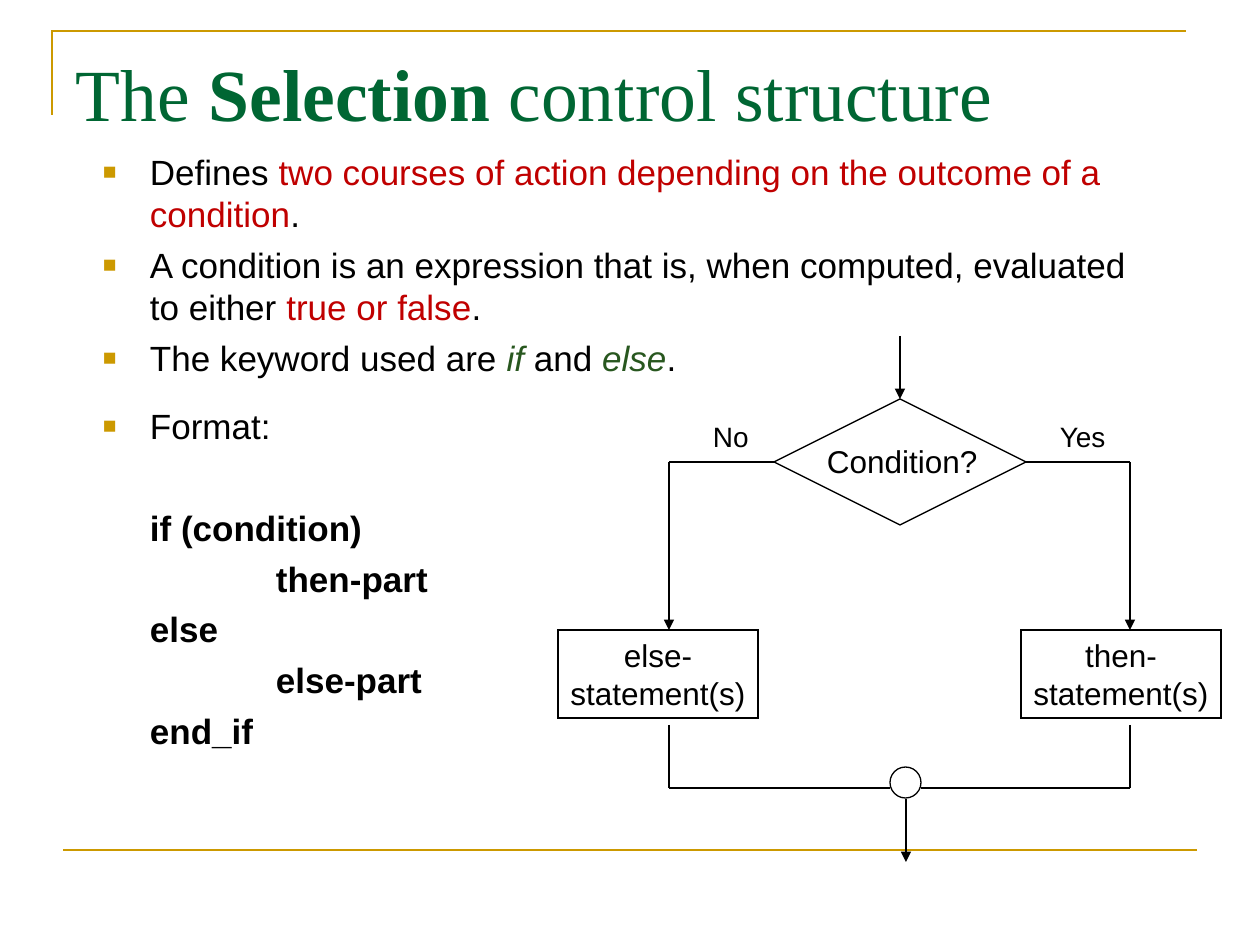
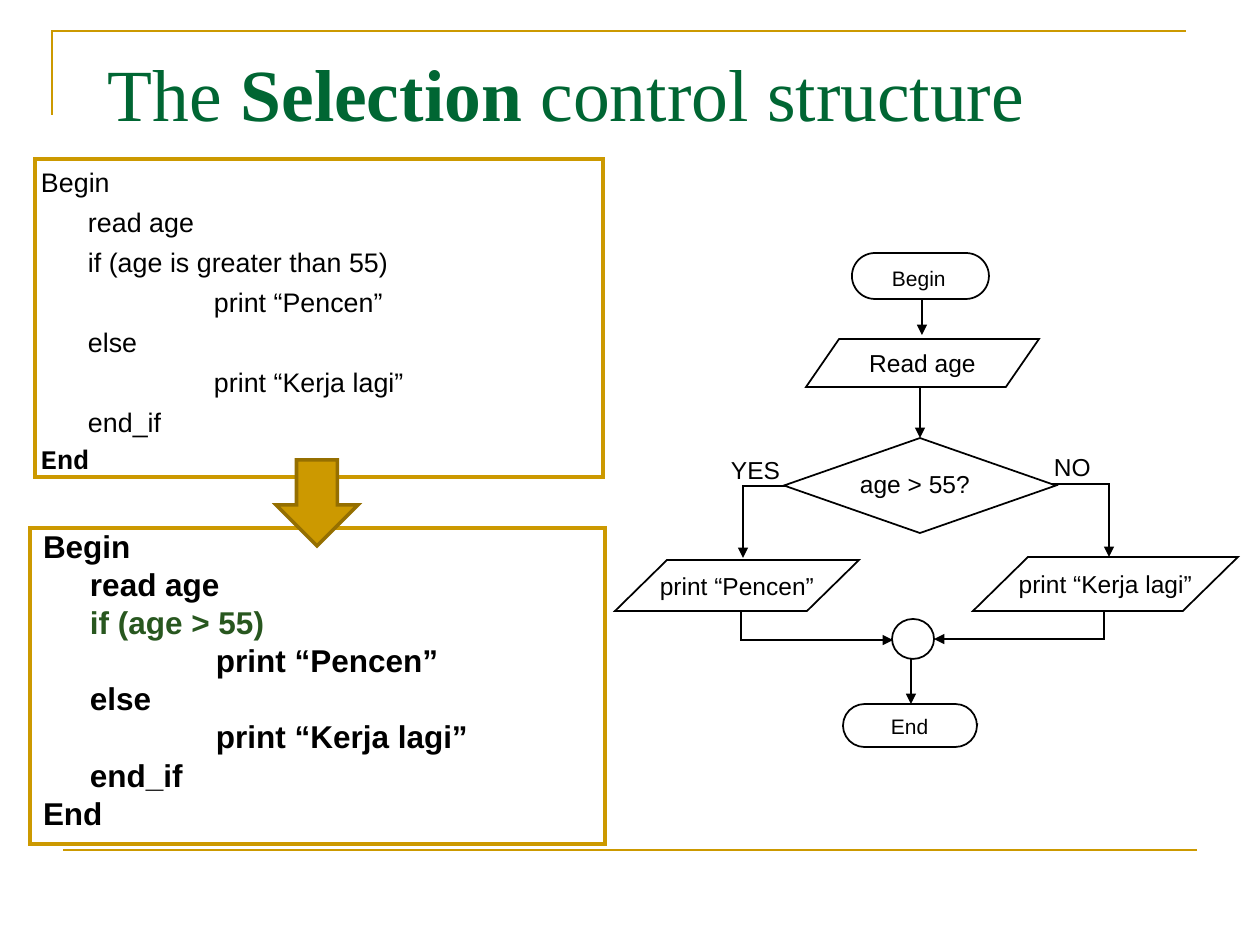
from dataclasses import dataclass
from typing import NamedTuple

from lxml.etree import SubElement
from pptx import Presentation
from pptx.dml.color import RGBColor
from pptx.enum.shapes import MSO_CONNECTOR, MSO_SHAPE
from pptx.enum.text import MSO_ANCHOR, PP_ALIGN
from pptx.oxml.ns import qn
from pptx.util import Emu, Pt

# Shared measures, colours and fonts
PIXELS_PER_INCH = 126
EMU_PER_PIXEL = 914400 / PIXELS_PER_INCH

GOLD = RGBColor(0xCC, 0x99, 0x00)
DARK_GOLD = RGBColor(0x95, 0x6F, 0x00)
TITLE_GREEN = RGBColor(0x00, 0x66, 0x33)
KEYWORD_GREEN = RGBColor(0x28, 0x57, 0x1F)
RED = RGBColor(0xC0, 0x00, 0x00)
BLACK = RGBColor(0, 0, 0)
WHITE = RGBColor(0xFF, 0xFF, 0xFF)

SANS = "Arial"
SERIF = "Times New Roman"
MONO = "Courier New"

INDENT = 47
CODE_INDENTS = (0, INDENT, INDENT + PIXELS_PER_INCH)


class Box(NamedTuple):
    left: int
    top: int
    width: int
    height: int


class Point(NamedTuple):
    x: int
    y: int


class Insets(NamedTuple):
    left: int = 13
    top: int = 6
    right: int = 13
    bottom: int = 6


# Labels keep no right inset, so that each stays on one line
LABEL_INSETS = Insets(right=0)
STEP_LABEL_INSETS = Insets(14, 7, 0, 7)


class Run(NamedTuple):
    text: str
    color: RGBColor = BLACK
    bold: bool = False
    italic: bool = False
    font: str = SANS


@dataclass(frozen=True)
class Line:
    runs: tuple[Run, ...]
    size: float
    indent: int = 0
    bullet: bool = False
    space_before: float = 0
    spacing: float | None = None
    alignment: PP_ALIGN = PP_ALIGN.LEFT


@dataclass(frozen=True)
class Node:
    kind: MSO_SHAPE
    box: Box
    lines: tuple[Line, ...] = ()
    fill: RGBColor | None = WHITE
    line: RGBColor = BLACK
    weight: float = 1
    adjustment: float | None = None
    insets: Insets = Insets()
    anchor: MSO_ANCHOR = MSO_ANCHOR.TOP
    wrap: bool = False


@dataclass(frozen=True)
class Route:
    points: tuple[Point, ...]
    arrow: bool = True


def px(length: float) -> Emu:
    return Emu(round(length * EMU_PER_PIXEL))


# Text
def add_bullet(paragraph) -> None:
    properties = paragraph._p.get_or_add_pPr()
    color = SubElement(properties, qn("a:buClr"))
    SubElement(color, qn("a:srgbClr"), val=str(GOLD))
    SubElement(properties, qn("a:buSzPct"), val="65000")
    SubElement(properties, qn("a:buFont"), typeface=SANS)
    SubElement(properties, qn("a:buChar"), char="■")


def write(shape, lines: tuple[Line, ...], insets: Insets = Insets(),
          anchor: MSO_ANCHOR = MSO_ANCHOR.TOP, wrap: bool = False) -> None:
    frame = shape.text_frame
    frame.word_wrap = wrap
    frame.vertical_anchor = anchor
    frame.margin_left, frame.margin_top, frame.margin_right, frame.margin_bottom = map(px, insets)
    for index, line in enumerate(lines):
        paragraph = frame.add_paragraph() if index else frame.paragraphs[0]
        paragraph.alignment = line.alignment
        paragraph.space_before = Pt(line.space_before)
        if line.spacing:
            paragraph.line_spacing = line.spacing
        properties = paragraph._p.get_or_add_pPr()
        properties.set("marL", str(px(line.indent)))
        properties.set("indent", str(px(-line.indent if line.bullet else 0)))
        if line.bullet:
            add_bullet(paragraph)
        for part in line.runs:
            run = paragraph.add_run()
            run.text = part.text
            run.font.name = part.font
            run.font.size = Pt(line.size)
            run.font.bold = part.bold
            run.font.italic = part.italic
            run.font.color.rgb = part.color


def add_text(slide, box: Box, lines: tuple[Line, ...], insets: Insets = Insets(),
             wrap: bool = False):
    shape = slide.shapes.add_textbox(*map(px, box))
    write(shape, lines, insets, wrap=wrap)
    return shape


def add_label(slide, box: Box, text: str, size: float, insets: Insets = LABEL_INSETS,
              fill: RGBColor | None = None) -> None:
    shape = add_text(slide, box, (Line((Run(text),), size),), insets)
    if fill is not None:
        shape.fill.solid()
        shape.fill.fore_color.rgb = fill


def code_lines(source: tuple[tuple[int, Run], ...], size: float,
               space_before: float, spacing: float | None = None) -> tuple[Line, ...]:
    return tuple(Line((run,), size, CODE_INDENTS[level], space_before=space_before, spacing=spacing)
                 for level, run in source)


# Shapes and lines
def style_line(shape, color: RGBColor, weight: float) -> None:
    shape.line.color.rgb = color
    shape.line.width = Pt(weight)
    SubElement(shape.line._get_or_add_ln(), qn("a:miter"), lim="800000")


def add_node(slide, node: Node) -> None:
    shape = slide.shapes.add_shape(node.kind, *map(px, node.box))
    shape.shadow.inherit = False
    if node.fill is None:
        shape.fill.background()
    else:
        shape.fill.solid()
        shape.fill.fore_color.rgb = node.fill
    style_line(shape, node.line, node.weight)
    if node.adjustment is not None:
        shape.adjustments[0] = node.adjustment
    if node.lines:
        write(shape, node.lines, node.insets, node.anchor, node.wrap)


def add_route(slide, route: Route, weight: float, color: RGBColor = BLACK) -> None:
    start, *others = route.points
    if len(others) == 1:
        ends = [px(length) for point in route.points for length in point]
        shape = slide.shapes.add_connector(MSO_CONNECTOR.STRAIGHT, *ends)
    else:
        builder = slide.shapes.build_freeform(*start, scale=EMU_PER_PIXEL)
        builder.add_line_segments(others, close=False)
        shape = builder.convert_to_shape()
        shape.fill.background()
    style_line(shape, color, weight)
    if route.arrow:
        SubElement(shape.line._get_or_add_ln(), qn("a:tailEnd"), type="triangle")
    SubElement(shape._element.spPr, qn("a:effectLst"))


# Slide frame and title
def add_base_slide(presentation, title_box: Box):
    slide = presentation.slides.add_slide(presentation.slide_layouts[6])
    corner = (Point(52, 115), Point(52, 31), Point(1186, 31))
    footer = (Point(63, 850), Point(1197, 850))
    for points in (corner, footer):
        add_route(slide, Route(points, arrow=False), 1.5, GOLD)
    title = (Run("The ", TITLE_GREEN, font=SERIF),
             Run("Selection", TITLE_GREEN, bold=True, font=SERIF),
             Run(" control structure", TITLE_GREEN, font=SERIF))
    add_text(slide, title_box, (Line(title, 42),), wrap=True)
    return slide


# Slide 1: definition and general flowchart
def build_definition(presentation) -> None:
    slide = add_base_slide(presentation, Box(63, 42, 1040, 84))
    bullets = (
        (5, (Run("Defines "),
             Run("two courses of action depending on the outcome of a condition", RED), Run("."))),
        (5, (Run("A condition is an expression that is, when computed, evaluated to either "),
             Run("true or false", RED), Run("."))),
        (5, (Run("The keyword used are "), Run("if ", KEYWORD_GREEN, italic=True), Run("and "),
             Run("else", KEYWORD_GREEN, italic=True), Run("."))),
        (15, (Run("Format:"),)),
    )
    body = tuple(Line(runs, 20, INDENT, True, before) for before, runs in bullets)
    syntax = ((1, "if (condition)"), (2, "then-part"), (1, "else"), (2, "else-part"), (1, "end_if"))
    body += tuple(Line((Run(text, bold=True),), 20, CODE_INDENTS[level],
                       space_before=5 if index else 34)
                  for index, (level, text) in enumerate(syntax))
    add_text(slide, Box(90, 145, 1071, 704), body, wrap=True)

    # Condition, branches and join
    thin = 0.75
    add_label(slide, Box(814, 436, 175, 50), "Condition?", 18)
    add_node(slide, Node(MSO_SHAPE.FLOWCHART_DECISION, Box(774, 399, 252, 126),
                         fill=None, weight=thin))
    branches = (("else-", 558, 669, 774, 890), ("then-", 1021, 1130, 1026, 921))
    for word, left, branch_x, diamond_x, join_x in branches:
        lines = tuple(Line((Run(text),), 18, alignment=PP_ALIGN.CENTER)
                      for text in (word, "statement(s)"))
        add_node(slide, Node(MSO_SHAPE.RECTANGLE, Box(left, 630, 200, 88), lines,
                             fill=None, weight=thin, insets=Insets(6, 6, 6, 6)))
        for start, end, arrow in (
            (Point(diamond_x, 462), Point(branch_x, 462), False),
            (Point(branch_x, 462), Point(branch_x, 630), True),
            (Point(branch_x, 725), Point(branch_x, 788), False),
            (Point(branch_x, 788), Point(join_x, 788), False),
        ):
            add_route(slide, Route((start, end), arrow), thin)
    add_node(slide, Node(MSO_SHAPE.FLOWCHART_CONNECTOR, Box(890, 767, 31, 31),
                         fill=None, weight=thin))
    for x, top, bottom in ((900, 336, 399), (906, 799, 862)):
        add_route(slide, Route((Point(x, top), Point(x, bottom))), thin)
    add_label(slide, Box(1047, 413, 73, 47), "Yes", 16)
    add_label(slide, Box(700, 413, 60, 47), "No", 16)


# Slide 2: pseudocode and worked flowchart
def build_example(presentation) -> None:
    slide = add_base_slide(presentation, Box(95, 42, 1008, 84))

    def program(condition: Run, bold: bool) -> tuple[tuple[int, Run], ...]:
        words = ((0, "Begin"), (1, "read age"), (1, ""), (2, "print “Pencen”"), (1, "else"),
                 (2, "print “Kerja lagi”"), (1, "end_if"))
        return tuple((level, Run(text, bold=bold) if text else condition) for level, text in words)

    draft = code_lines(program(Run("if (age is greater than 55)"), False), 15.3, 4.5)
    draft += code_lines(((0, Run("End", bold=True, font=MONO)),), 15.3, 4.5, 0.9)
    refined = program(Run("if (age > 55)", KEYWORD_GREEN, bold=True), True)
    refined += ((0, Run("End", bold=True)),)
    add_node(slide, Node(MSO_SHAPE.RECTANGLE, Box(35, 159, 568, 318), draft, line=GOLD,
                         weight=2, insets=Insets(6, 7, 6, 6), wrap=True))

    # Arrows
    for points in (
        (Point(1052, 484), Point(1109, 484), Point(1109, 557)),
        (Point(911, 656), Point(911, 704)),
        (Point(1104, 609), Point(1104, 639), Point(934, 639)),
        (Point(741, 610), Point(741, 640), Point(893, 640)),
        (Point(786, 486), Point(743, 486), Point(743, 558)),
        (Point(920, 387), Point(920, 438)),
        (Point(922, 284), Point(922, 335)),
    ):
        add_route(slide, Route(points), 1)

    # Decision, terminators and join
    add_node(slide, Node(MSO_SHAPE.FLOWCHART_DECISION, Box(784, 438, 272, 95), fill=None))
    for text, outline, label in (
        ("Begin", Box(852, 253, 137, 46), Box(878, 259, 82, 38)),
        ("End", Box(843, 704, 134, 43), Box(877, 707, 72, 38)),
    ):
        add_node(slide, Node(MSO_SHAPE.ROUNDED_RECTANGLE, outline, adjustment=0.5))
        add_label(slide, label, text, 12, STEP_LABEL_INSETS, WHITE)
    add_node(slide, Node(MSO_SHAPE.OVAL, Box(892, 619, 42, 40)))
    for text, box in (("age > 55?", Box(846, 462, 139, 43)), ("NO", Box(1040, 445, 66, 43)),
                      ("YES", Box(717, 448, 77, 43))):
        add_label(slide, box, text, 14, STEP_LABEL_INSETS)

    # Input and output steps
    for text, box, slant in (
        ("Read age", Box(806, 339, 233, 48), 0.69),
        ("print “Pencen”", Box(615, 560, 244, 51), 1.02),
        ("print “Kerja lagi”", Box(973, 557, 265, 54), 1.02),
    ):
        add_node(slide, Node(MSO_SHAPE.PARALLELOGRAM, box,
                             (Line((Run(text),), 14, alignment=PP_ALIGN.CENTER),),
                             adjustment=slant, insets=Insets(20, 10, 20, 10),
                             anchor=MSO_ANCHOR.MIDDLE))

    add_node(slide, Node(MSO_SHAPE.RECTANGLE, Box(30, 528, 575, 316),
                         code_lines(refined, 18, 4.5, 0.8), line=GOLD, weight=2, wrap=True))
    add_node(slide, Node(MSO_SHAPE.DOWN_ARROW, Box(276, 460, 82, 86), fill=GOLD,
                         line=DARK_GOLD, weight=2))


def main() -> None:
    presentation = Presentation()
    presentation.slide_width = px(1260)
    presentation.slide_height = px(945)
    build_definition(presentation)
    build_example(presentation)
    presentation.save("out.pptx")


if __name__ == "__main__":
    main()
